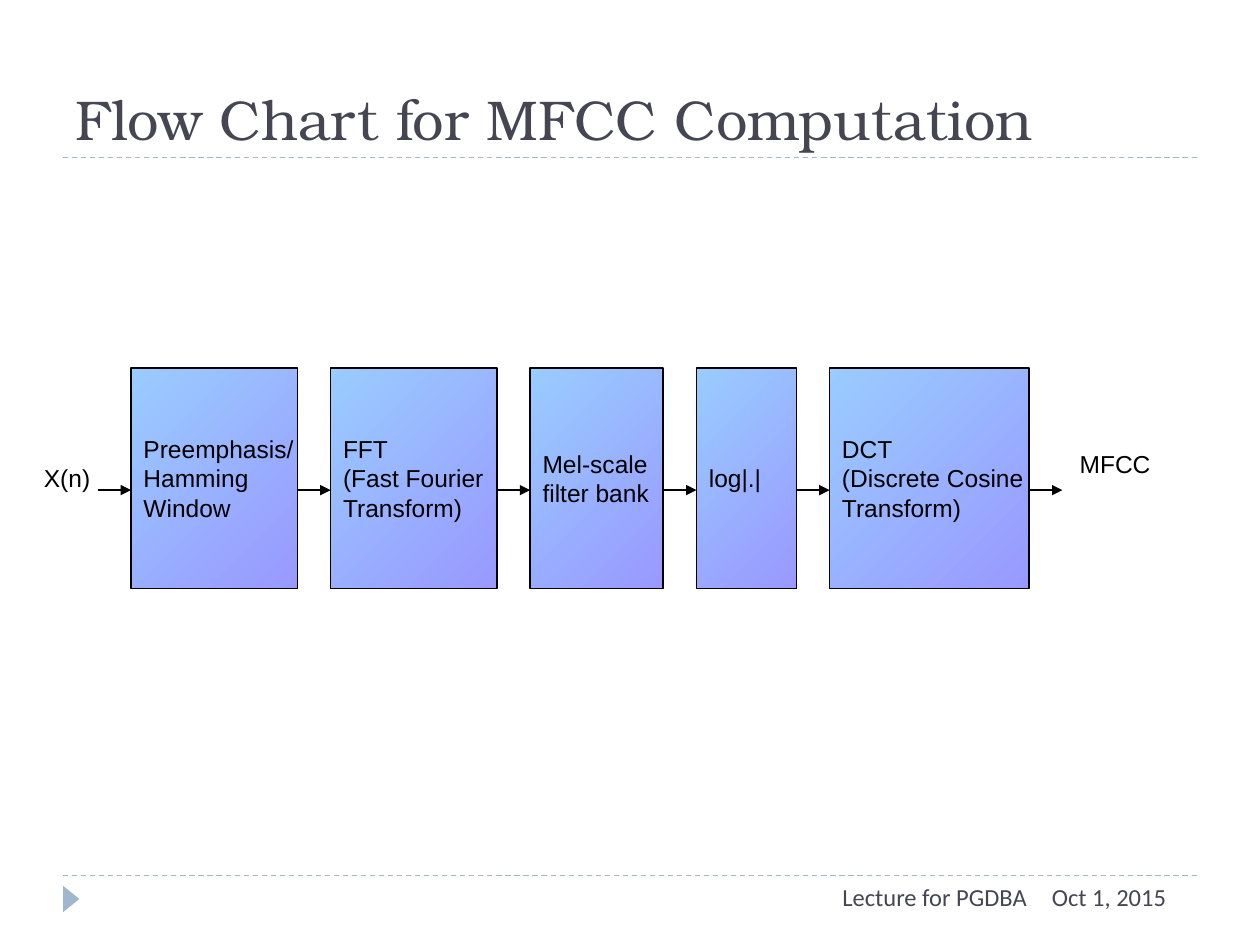
from pptx import Presentation
from pptx import util as u
from pptx.dml.color import RGBColor
from pptx.enum import dml, shapes, text
from pptx.oxml.ns import qn
from lxml import etree

UNIT = 0.264
FLOW_LEFT, FLOW_TOP, FLOW_HEIGHT = 1.04, 2.92, 1.75
ARROW_Y = 3.89
INK, ACCENT, BLACK = "464653", "9FB8CD", "000000"
STAGES = [
    (5, "Preemphasis/\nHamming\nWindow"),
    (5, "FFT\n(Fast Fourier\nTransform)"),
    (4, "Mel-scale\nfilter bank"),
    (3, "log|.|"),
    (6, "DCT\n(Discrete Cosine\nTransform)"),
]


def color(value):
    """Turn a hex string into a colour."""
    return RGBColor.from_string(value)


def inches(*lengths):
    """Turn numbers into inch lengths."""
    return [u.Inches(length) for length in lengths]


def write(shape, wording, size=14, font="Arial", ink=BLACK, wrap=False,
          anchor=text.MSO_ANCHOR.MIDDLE, align=text.PP_ALIGN.LEFT,
          right=0.1, bottom=0.05):
    """Put formatted text into a shape, one paragraph per line."""
    frame = shape.text_frame
    frame.text = wording
    frame.word_wrap = wrap
    frame.vertical_anchor = anchor
    frame.margin_right, frame.margin_bottom = inches(right, bottom)
    for paragraph in frame.paragraphs:
        paragraph.alignment = align
        paragraph.font.size = u.Pt(size)
        paragraph.font.name = font
        paragraph.font.color.rgb = color(ink)


def add_label(slide, box, wording, **style):
    """Add a text box with formatted text."""
    write(slide.shapes.add_textbox(*inches(*box)), wording, **style)


def add_line(slide, left, right, y, ink=BLACK, dashed=False, arrow=False):
    """Draw a horizontal line, dashed or with an arrowhead if asked."""
    line = slide.shapes.add_connector(
        shapes.MSO_CONNECTOR.STRAIGHT, *inches(left, y, right, y))
    line.line.color.rgb = color(ink)
    line.line.width = u.Pt(0.75)
    if dashed:
        line.line.dash_style = dml.MSO_LINE.DASH
    if arrow:
        head = etree.SubElement(line.line._get_or_add_ln(), qn("a:tailEnd"))
        head.set("type", "triangle")
    etree.SubElement(line._element.spPr, qn("a:effectLst"))


def add_stage(slide, left, width, wording):
    """Add one gradient-filled processing stage."""
    stage = slide.shapes.add_shape(
        shapes.MSO_SHAPE.RECTANGLE, *inches(left, FLOW_TOP, width, FLOW_HEIGHT))
    stage.shadow.inherit = False
    stage.fill.gradient()
    stage.fill.gradient_angle = 315
    for stop, position, tint in zip(
            stage.fill.gradient_stops, (0, 1), ("99CCFF", "9999FF")):
        stop.position = position
        stop.color.rgb = color(tint)
    stage.line.color.rgb = color(BLACK)
    stage.line.width = u.Pt(0.75)
    write(stage, wording)


def add_flow(slide):
    """Lay out the stages with an arrow into each and one out of the last."""
    left = FLOW_LEFT
    add_label(slide, (0.25, FLOW_TOP, 2 * UNIT, FLOW_HEIGHT), "X(n)", right=0)
    add_line(slide, left - UNIT, left, ARROW_Y, arrow=True)
    for columns, wording in STAGES:
        width = columns * UNIT
        add_stage(slide, left, width, wording)
        add_line(slide, left + width, left + width + UNIT, ARROW_Y, arrow=True)
        left += width + UNIT
    add_label(slide, (8.47, FLOW_TOP, 1.28, FLOW_HEIGHT), "MFCC", bottom=0.28)


def add_frame(slide):
    """Add the title, the dashed rules, the corner marker and the footer."""
    for y in (6.95, 1.25):
        add_line(slide, 0.5, 9.5, y, ink=ACCENT, dashed=True)
    marker = slide.shapes.add_shape(
        shapes.MSO_SHAPE.ISOSCELES_TRIANGLE, *inches(0.46, 7.07, 0.21, 0.13))
    marker.rotation = 90
    marker.shadow.inherit = False
    marker.fill.solid()
    marker.fill.fore_color.rgb = color(ACCENT)
    marker.line.fill.background()
    add_label(slide, (0.5, 0.17, 9, 1.08), "Flow Chart for MFCC Computation",
              size=32, font="TeX Gyre Bonum", ink=INK, wrap=True,
              anchor=text.MSO_ANCHOR.BOTTOM)
    footer = dict(font="Calibri", ink=INK, wrap=True, anchor=text.MSO_ANCHOR.TOP)
    add_label(slide, (8.25, 6.95, 1.5, 0.4), "Oct 1, 2015", **footer)
    add_label(slide, (1.33, 6.95, 6.92, 0.4), "Lecture for PGDBA",
              align=text.PP_ALIGN.RIGHT, **footer)


def main():
    """Build and save the slide."""
    deck = Presentation()
    deck.slide_width, deck.slide_height = inches(10, 7.5)
    slide = deck.slides.add_slide(deck.slide_layouts[6])
    add_frame(slide)
    add_flow(slide)
    deck.save("out.pptx")


if __name__ == "__main__":
    main()
